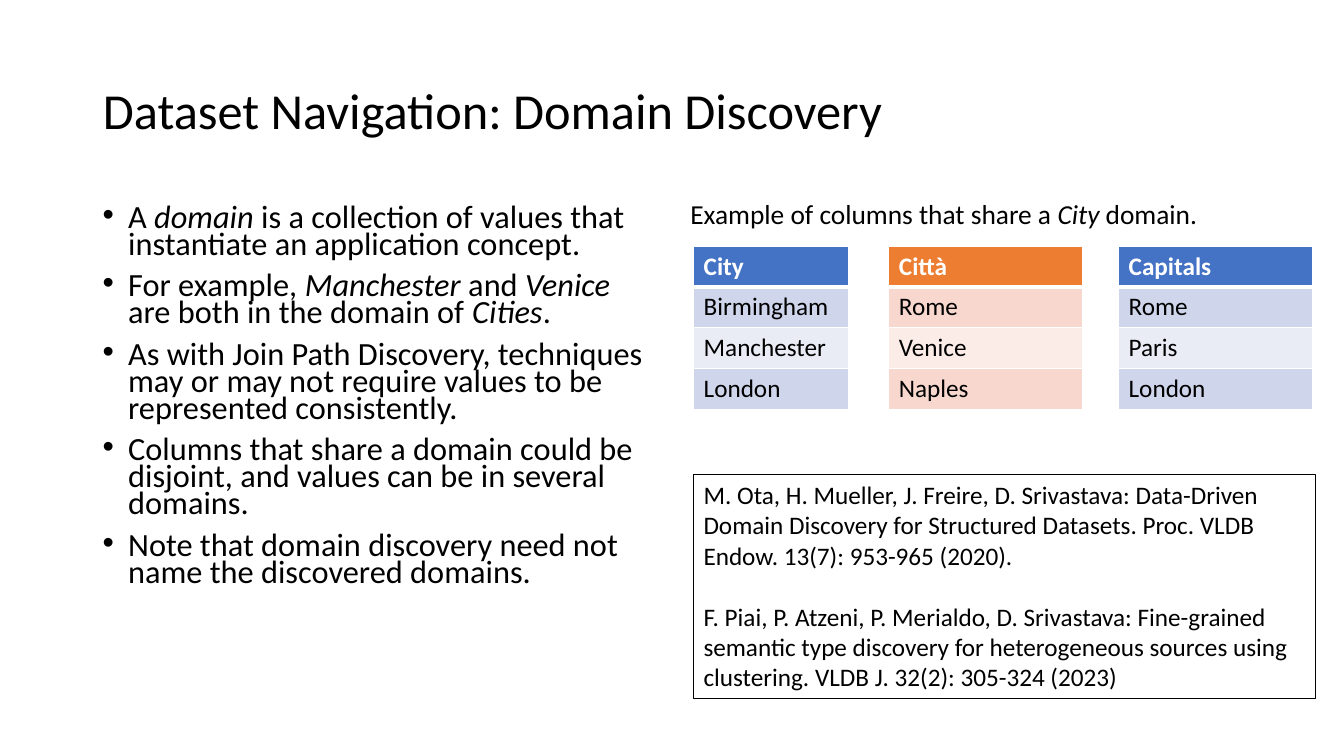
from lxml import etree
from pptx import Presentation
from pptx import util as u
from pptx.dml.color import RGBColor
from pptx.enum import shapes, text
from pptx.oxml import ns

FONT = "Calibri"
COLOURS = {
    "black": "000000",
    "white": "FFFFFF",
    "blue": "4472C4",
    "blue_dark_band": "CFD5EA",
    "blue_light_band": "E9EBF5",
    "orange": "ED7D31",
    "orange_dark_band": "F8D7CE",
    "orange_light_band": "FCECE8",
}
TITLE = "Dataset Navigation: Domain Discovery"
# Asterisks enclose italic words
POINTS = [
    "A *domain* is a collection of values that instantiate an application concept.",
    "For example, *Manchester* and *Venice* are both in the domain of *Cities*.",
    "As with Join Path Discovery, techniques may or may not require values "
    "to be represented consistently.",
    "Columns that share a domain could be disjoint, and values can be in several domains.",
    "Note that domain discovery need not name the discovered domains.",
]
EXAMPLE = "Example of columns that share a *City* domain."
# Left and width in cm, colour family, header and values
COLUMNS = [
    (17.48, 3.91, "blue", ["City", "Birmingham", "Manchester", "London"]),
    (22.4, 4.88, "orange", ["Città", "Rome", "Venice", "Naples"]),
    (28.19, 4.88, "blue", ["Capitals", "Rome", "Paris", "London"]),
]
COLUMNS_TOP, ROW_HEIGHT = 6.2, 1.03
CITATIONS = [
    "M. Ota, H. Mueller, J. Freire, D. Srivastava: Data-Driven Domain Discovery "
    "for Structured Datasets. Proc. VLDB Endow. 13(7): 953-965 (2020).",
    "F. Piai, P. Atzeni, P. Merialdo, D. Srivastava: Fine-grained semantic type "
    "discovery for heterogeneous sources using clustering. VLDB J. 32(2): 305-324 (2023)",
]


def colour(name):
    return RGBColor.from_string(COLOURS[name])


def apply(target, formats):
    for attribute, value in formats.items():
        setattr(target, attribute, value)


def place(shape, left, top, width, height):
    apply(shape, {"left": u.Cm(left), "top": u.Cm(top),
                  "width": u.Cm(width), "height": u.Cm(height)})


def write(paragraph, words, size, colour_name="black", bold=False):
    """Write one paragraph, with the parts between asterisks in italics."""
    for index, part in enumerate(words.split("*")):
        run = paragraph.add_run()
        run.text = part
        apply(run.font, {"name": FONT, "size": u.Pt(size), "bold": bold,
                         "italic": index % 2 == 1})
        run.font.color.rgb = colour(colour_name)


def write_all(frame, paragraphs, size, gap, spacing=1.0, bulleted=False):
    for index, words in enumerate(paragraphs):
        paragraph = frame.add_paragraph() if index else frame.paragraphs[0]
        apply(paragraph, {"alignment": text.PP_ALIGN.LEFT, "line_spacing": spacing,
                          "space_before": u.Pt(gap if index else 0)})
        if bulleted:
            add_bullet(paragraph)
        write(paragraph, words, size)


def add_bullet(paragraph):
    properties = paragraph._p.get_or_add_pPr()
    indent = u.Cm(0.64)
    properties.set("marL", str(indent))
    properties.set("indent", str(-indent))
    etree.SubElement(properties, ns.qn("a:buFont"), typeface="Arial")
    etree.SubElement(properties, ns.qn("a:buChar"), char="•")


def add_text(slide, box, paragraphs, size, **layout):
    frame = slide.shapes.add_textbox(*map(u.Cm, box)).text_frame
    frame.word_wrap = True
    write_all(frame, paragraphs, size, gap=10, spacing=0.7, **layout)


def add_borders(cell, bottom):
    properties = cell._tc.get_or_add_tcPr()
    for side, width in {"L": 1, "R": 1, "T": 1, "B": bottom}.items():
        line = etree.SubElement(properties, ns.qn(f"a:ln{side}"), w=str(u.Pt(width)))
        fill = etree.SubElement(line, ns.qn("a:solidFill"))
        etree.SubElement(fill, ns.qn("a:srgbClr"), val=COLOURS["white"])


def add_column(slide, left, width, family, values):
    table = slide.shapes.add_table(
        len(values), 1, u.Cm(left), u.Cm(COLUMNS_TOP),
        u.Cm(width), u.Cm(ROW_HEIGHT * len(values))).table
    table.horz_banding = False
    for index, value in enumerate(values):
        header = index == 0
        band = "dark" if index % 2 else "light"
        cell = table.cell(index, 0)
        add_borders(cell, bottom=3 if header else 1)
        cell.fill.solid()
        cell.fill.fore_color.rgb = colour(family if header else f"{family}_{band}_band")
        write(cell.text_frame.paragraphs[0], value, 18,
              "white" if header else "black", bold=header)


def add_citations(slide):
    box = slide.shapes.add_shape(shapes.MSO_SHAPE.RECTANGLE, u.Cm(17.48), u.Cm(11.96),
                                 u.Cm(15.67), u.Cm(5.64))
    box.shadow.inherit = False
    box.fill.background()
    box.line.color.rgb = colour("black")
    box.line.width = u.Pt(1)
    apply(box.text_frame, {"word_wrap": True, "vertical_anchor": text.MSO_ANCHOR.TOP})
    write_all(box.text_frame, CITATIONS, 18, gap=22)


def set_title(slide):
    title = slide.shapes.title
    place(title, 2.34, 1.02, 29.21, 3.68)
    apply(title.text_frame, {"word_wrap": True, "auto_size": text.MSO_AUTO_SIZE.NONE,
                             "vertical_anchor": text.MSO_ANCHOR.MIDDLE})
    write_all(title.text_frame, [TITLE], 36, gap=0, spacing=0.9)


def main():
    deck = Presentation()
    apply(deck, {"slide_width": u.Cm(33.87), "slide_height": u.Cm(19.05)})
    slide = deck.slides.add_slide(deck.slide_layouts.get_by_name("Title Only"))

    # Title and explanation
    set_title(slide)
    add_text(slide, (2.34, 5.08, 14.4, 12.09), POINTS, 23.1, bulleted=True)

    # Example columns
    add_text(slide, (17.15, 5.08, 14.4, 2.24), [EXAMPLE], 19.6)
    for column in COLUMNS:
        add_column(slide, *column)

    # References
    add_citations(slide)
    deck.save("out.pptx")


if __name__ == "__main__":
    main()
